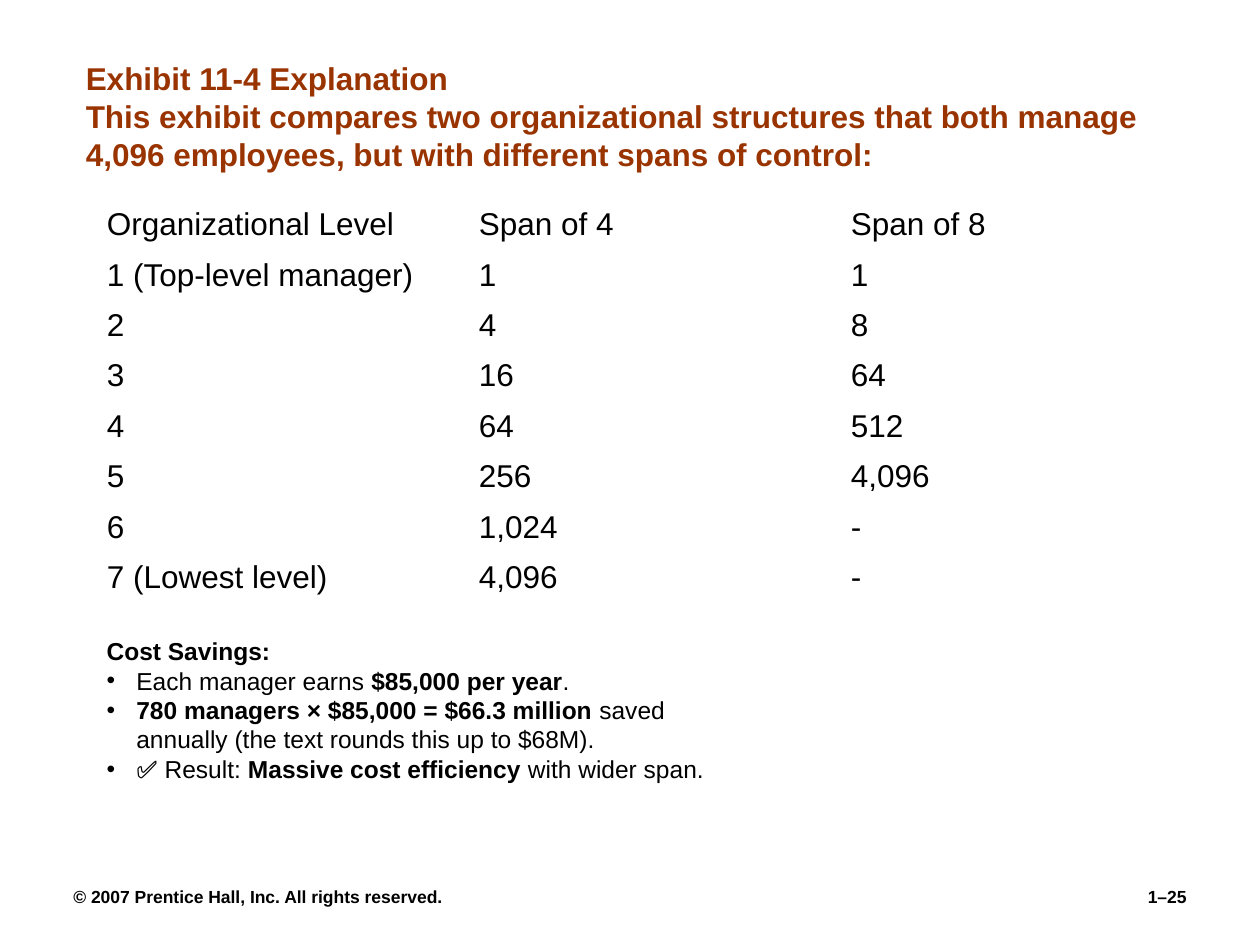
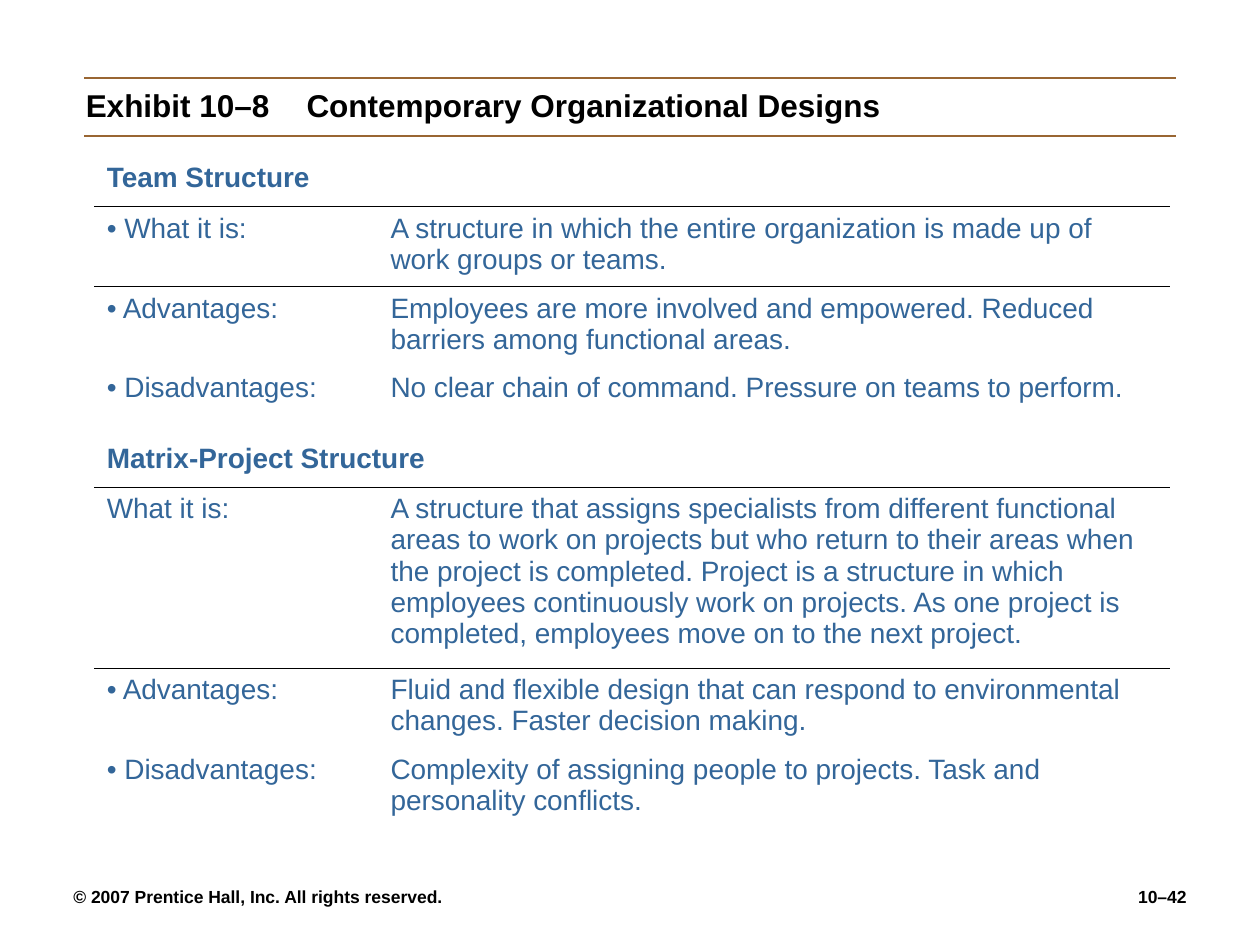
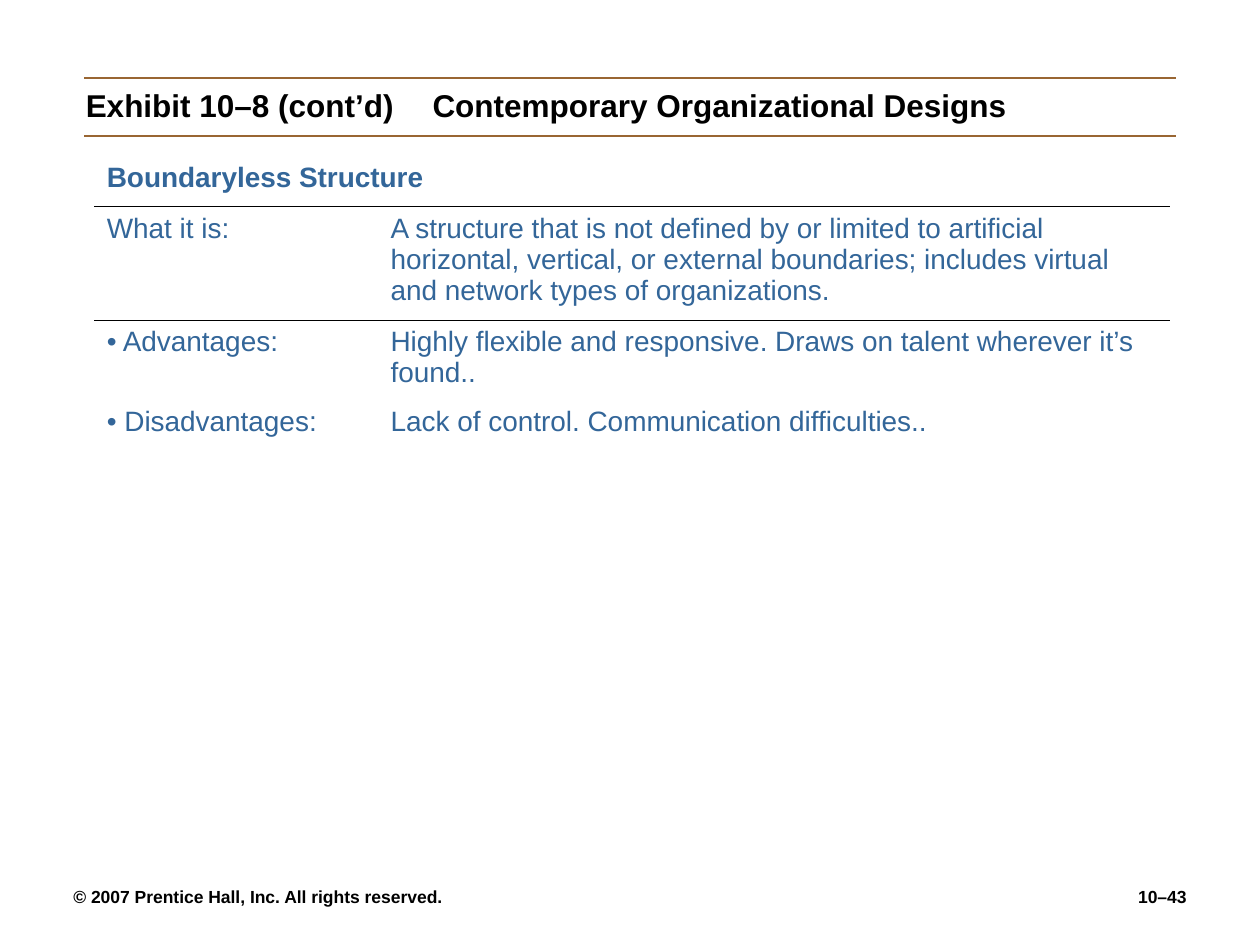
from lxml import etree
from pptx import Presentation
from pptx.dml.color import RGBColor
from pptx.enum.shapes import MSO_CONNECTOR
from pptx.enum.text import MSO_ANCHOR, PP_ALIGN
from pptx.oxml.ns import qn
from pptx.util import Cm, Pt

LEFT, RIGHT = PP_ALIGN.LEFT, PP_ALIGN.RIGHT
TOP, MIDDLE, BOTTOM = MSO_ANCHOR.TOP, MSO_ANCHOR.MIDDLE, MSO_ANCHOR.BOTTOM
STRAIGHT = MSO_CONNECTOR.STRAIGHT

FONT = "Arial"
COLORS = {"text": "000000", "heading": "993300", "rule": "996633", "design": "336699"}
PLAIN_TABLE = "{2D5ABB26-0587-4C30-8999-92F81FD0307C}"
COPYRIGHT = "© 2007 Prentice Hall, Inc. All rights reserved."

# Boxes are left, top, width, height in centimetres
TITLE_BOX = (1.48, 1.07, 22.43, 3.94)
BANNER_BOX = (1.7, 1.57, 22, 1.17)
FOOTER_BOX = (1.48, 17.15, 22.44, 1.27)
SPAN_BOX = (1.9, 4.02, 22.5, 8.13)
SAVINGS_BOX = (1.9, 12.7, 12.7, 3.23)
DESIGN_CORNER = (1.9, 3.15)
DESIGN_COLUMNS = (5.72, 1.47, 14.5)
LINE_HEIGHT, ROW_PADDING, GROUP_GAP = 0.67, 0.27, 0.48

SPAN_ROWS = [
    ("Organizational Level", "Span of 4", "Span of 8"),
    ("1 (Top-level manager)", "1", "1"),
    ("2", "4", "8"),
    ("3", "16", "64"),
    ("4", "64", "512"),
    ("5", "256", "4,096"),
    ("6", "1,024", "-"),
    ("7 (Lowest level)", "4,096", "-"),
]
SAVINGS = [
    "Each manager earns **$85,000 per year**.",
    "**780 managers × $85,000 = $66.3 million** saved annually "
    "(the text rounds this up to $68M).",
    "✅ Result: **Massive cost efficiency** with wider span.",
]

# Each design: name, then rows of label, description, number of lines
TEAM = ("Team Structure", [
    ("• What it is:", "A structure in which the entire organization is made up "
     "of work groups or teams.", 2),
    ("• Advantages:", "Employees are more involved and empowered. Reduced "
     "barriers among functional areas.", 2),
    ("• Disadvantages:", "No clear chain of command. Pressure on teams to perform.", 1),
])
MATRIX = ("Matrix-Project Structure", [
    ("What it is:", "A structure that assigns specialists from different "
     "functional areas to work on projects but who return to their areas when "
     "the project is completed. Project is a structure in which employees "
     "continuously work on projects. As one project is completed, employees "
     "move on to the next project.", 5),
    ("• Advantages:", "Fluid and flexible design that can respond to "
     "environmental changes. Faster decision making.", 2),
    ("• Disadvantages:", "Complexity of assigning people to projects. Task and "
     "personality conflicts.", 2),
])
BOUNDARYLESS = ("Boundaryless Structure", [
    ("What it is:", "A structure that is not defined by or limited to artificial "
     "horizontal, vertical, or external boundaries; includes virtual and network "
     "types of organizations.", 3),
    ("• Advantages:", "Highly flexible and responsive. Draws on talent wherever "
     "it’s found..", 2),
    ("• Disadvantages:", "Lack of control. Communication difficulties..", 1),
])


def add_bullet(para, indent):
    properties = para._p.get_or_add_pPr()
    properties.set("marL", str(Cm(indent)))
    properties.set("indent", str(-Cm(indent)))
    etree.SubElement(properties, qn("a:buFont"), typeface=FONT)
    etree.SubElement(properties, qn("a:buChar"), char="•")


def add_tab(para, position):
    stops = etree.SubElement(para._p.get_or_add_pPr(), qn("a:tabLst"))
    etree.SubElement(stops, qn("a:tab"), pos=str(Cm(position)), algn="l")


def write(frame, text, size=18, color="text", bold=False, align=LEFT,
          bullet=None, tab=None, append=False):
    """Write one paragraph; ** switches bold and a line feed breaks the line."""
    para = frame.add_paragraph() if append else frame.paragraphs[0]
    para.alignment = align
    if bullet:
        add_bullet(para, bullet)
    if tab:
        add_tab(para, tab)
    for part, piece in enumerate(text.split("**")):
        for number, line in enumerate(piece.split("\n")):
            if number:
                para.add_line_break()
            span = para.add_run()
            span.text = line
            span.font.name = FONT
            span.font.size = Pt(size)
            span.font.bold = bold or part % 2 == 1
            span.font.color.rgb = RGBColor.from_string(COLORS[color])


def add_text_box(page, box, anchor=TOP, side_inset=0.25):
    frame = page.shapes.add_textbox(*map(Cm, box)).text_frame
    frame.word_wrap = True
    frame.vertical_anchor = anchor
    frame.margin_left = frame.margin_right = Cm(side_inset)
    return frame


def add_plain_table(page, corner, columns, rows):
    holder = page.shapes.add_table(len(rows), len(columns), *map(Cm, corner),
                                   Cm(sum(columns)), Cm(sum(rows)))
    table = holder.table
    table.first_row = table.horz_banding = False
    for style in holder._element.iter(qn("a:tableStyleId")):
        style.text = PLAIN_TABLE
    for column, width in zip(table.columns, columns):
        column.width = Cm(width)
    for row, height in zip(table.rows, rows):
        row.height = Cm(height)
    for cell in table.iter_cells():
        cell.fill.background()
    return table


def add_border(cell, side):
    border = etree.Element(qn(f"a:{side}"), w=str(Pt(0.45)))
    fill = etree.SubElement(border, qn("a:solidFill"))
    etree.SubElement(fill, qn("a:srgbClr"), val=COLORS["text"])
    cell._tc.get_or_add_tcPr().insert(0, border)


def add_footer(page, box, number):
    left, top, width, height = box
    number_width = 6.15
    write(add_text_box(page, (left, top, width / 2, height), BOTTOM, 0),
          COPYRIGHT, size=10, bold=True)
    number_box = (left + width - number_width, top, number_width, height)
    write(add_text_box(page, number_box, BOTTOM, 0),
          number, size=10, bold=True, align=RIGHT)


def add_banner(page, box, title, tab):
    left, top, width, height = box
    # Rules above and below the title
    for y in (top, top + height):
        rule = page.shapes.add_connector(STRAIGHT, Cm(left), Cm(y),
                                         Cm(left + width), Cm(y))
        rule.line.color.rgb = RGBColor.from_string(COLORS["rule"])
        rule.line.width = Pt(1.5)
        etree.SubElement(rule._element.spPr, qn("a:effectLst"))
    frame = add_text_box(page, (left - 0.22, top + 0.03, width + 0.43, 1.02))
    write(frame, title, bold=True, tab=tab)


def add_span_table(page, box):
    left, top, width, height = box
    columns = [width / len(SPAN_ROWS[0])] * len(SPAN_ROWS[0])
    heights = [height / len(SPAN_ROWS)] * len(SPAN_ROWS)
    table = add_plain_table(page, (left, top), columns, heights)
    for row, values in enumerate(SPAN_ROWS):
        for column, value in enumerate(values):
            cell = table.cell(row, column)
            cell.vertical_anchor = MIDDLE
            write(cell.text_frame, value)


def add_savings(page, box):
    frame = add_text_box(page, box)
    write(frame, "Cost Savings:", size=14, bold=True)
    for item in SAVINGS:
        write(frame, item, size=14, bullet=0.6, append=True)


def add_design_table(page, corner, designs):
    # Row heights follow the number of text lines
    heights = []
    for name, rows in designs:
        for lines in [1] + [row[2] for row in rows]:
            heights.append(ROW_PADDING + LINE_HEIGHT * lines)
        if name != designs[-1][0]:
            heights[-1] += GROUP_GAP
    table = add_plain_table(page, corner, DESIGN_COLUMNS, heights)

    line = 0
    for name, rows in designs:
        # Design name with a rule under it
        table.cell(line, 0).merge(table.cell(line, 1))
        for column, text in ((0, name), (2, "")):
            write(table.cell(line, column).text_frame, text, size=16,
                  color="design", bold=True)
        for column in range(len(DESIGN_COLUMNS)):
            add_border(table.cell(line, column), "lnB")
            add_border(table.cell(line + 1, column), "lnT")
        # Labels and descriptions
        for label, description, _ in rows:
            line += 1
            table.cell(line, 1).merge(table.cell(line, 2))
            for column, text in enumerate((label, description)):
                write(table.cell(line, column).text_frame, text, size=16,
                      color="design")
        line += 1


def add_page(deck, number):
    page = deck.slides.add_slide(deck.slide_layouts[6])
    add_footer(page, FOOTER_BOX, number)
    return page


def add_span_page(deck, number):
    page = add_page(deck, number)
    write(add_text_box(page, TITLE_BOX),
          "Exhibit 11-4 Explanation\nThis exhibit compares two organizational "
          "structures that both manage 4,096 employees, but with different "
          "spans of control:", color="heading", bold=True)
    add_span_table(page, SPAN_BOX)
    add_savings(page, SAVINGS_BOX)


def add_design_page(deck, number, exhibit, tab, designs):
    page = add_page(deck, number)
    add_banner(page, BANNER_BOX, f"{exhibit}\tContemporary Organizational Designs", tab)
    add_design_table(page, DESIGN_CORNER, designs)


def main():
    deck = Presentation()
    deck.slide_width, deck.slide_height = Cm(25.4), Cm(19.05)
    add_span_page(deck, "1–25")
    add_design_page(deck, "10–42", "Exhibit 10–8", 4.45, [TEAM, MATRIX])
    add_design_page(deck, "10–43", "Exhibit 10–8 (cont’d)", 6.99, [BOUNDARYLESS])
    deck.save("out.pptx")


if __name__ == "__main__":
    main()
